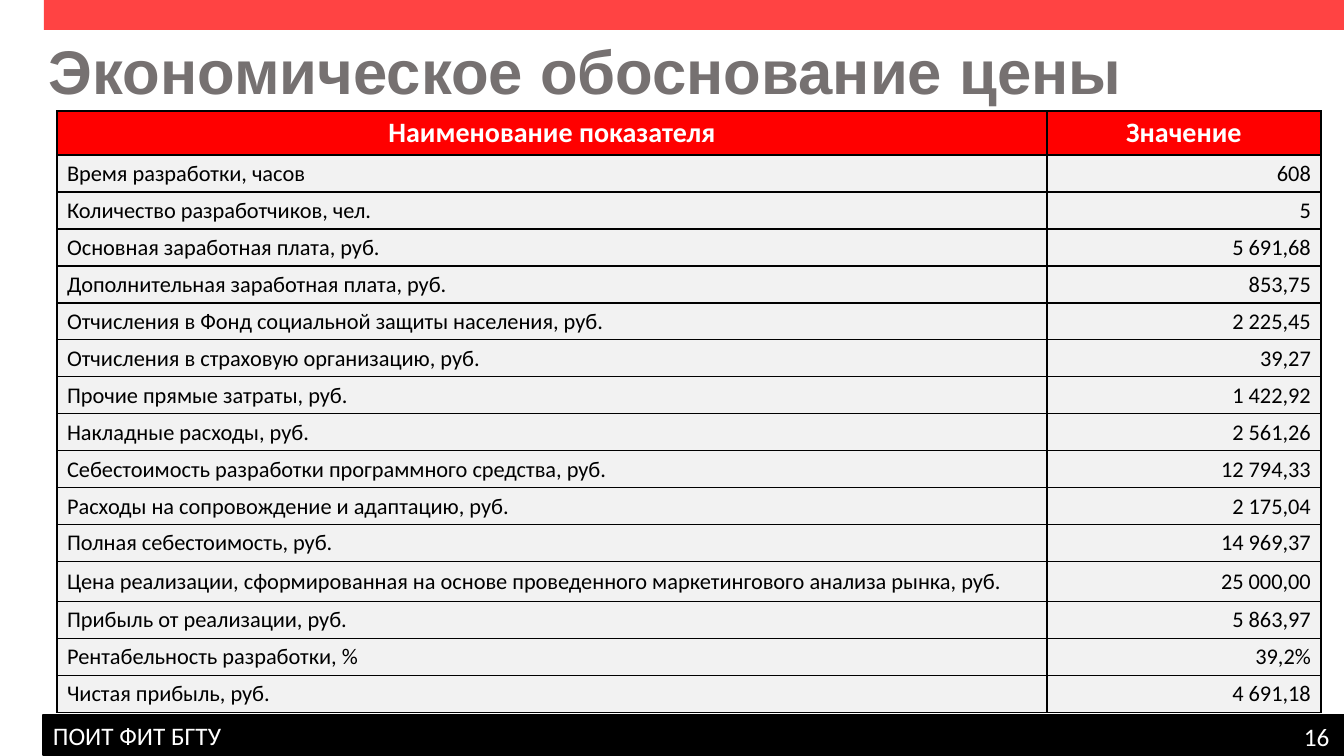
from lxml.etree import SubElement
from pptx import Presentation
from pptx.dml.color import RGBColor
from pptx.enum.shapes import MSO_SHAPE as Shape
from pptx.enum.text import MSO_ANCHOR as Anchor, MSO_AUTO_SIZE as AutoSize, PP_ALIGN as Align
from pptx.oxml.ns import qn
from pptx.util import Pt

PX = 914400 / 100.8
WIDTH, HEIGHT = 1344, 756

CORAL = RGBColor(0xFF, 0x43, 0x43)
RED = RGBColor(0xFF, 0x00, 0x00)
BLACK = RGBColor(0x00, 0x00, 0x00)
WHITE = RGBColor(0xFF, 0xFF, 0xFF)
GREY = RGBColor(0x76, 0x71, 0x71)
PALE = RGBColor(0xF2, 0xF2, 0xF2)

HEADER = ("Наименование показателя", "Значение")
INDICATORS = [
    ("Время разработки, часов", "608"),
    ("Количество разработчиков, чел.", "5"),
    ("Основная заработная плата, руб.", "5 691,68"),
    ("Дополнительная заработная плата, руб.", "853,75"),
    ("Отчисления в Фонд социальной защиты населения, руб.", "2 225,45"),
    ("Отчисления в страховую организацию, руб.", "39,27"),
    ("Прочие прямые затраты, руб.", "1 422,92"),
    ("Накладные расходы, руб.", "2 561,26"),
    ("Себестоимость разработки программного средства, руб.", "12 794,33"),
    ("Расходы на сопровождение и адаптацию, руб.", "2 175,04"),
    ("Полная себестоимость, руб.", "14 969,37"),
    ("Цена реализации, сформированная на основе проведенного маркетингового анализа рынка, руб.",
     "25 000,00"),
    ("Прибыль от реализации, руб.", "5 863,97"),
    ("Рентабельность разработки, %", "39,2%"),
    ("Чистая прибыль, руб.", "4 691,18"),
]
HEADER_HEIGHT, ROW_HEIGHT, PRICE_HEIGHT = 44, 37, 40
PRICE_ROW = 12
VALUE_WIDTH = 274


def px(*lengths):
    return [round(length * PX) for length in lengths]


def write(frame, text, size, color, font="Calibri", bold=False, align=Align.LEFT):
    frame.text = text
    para = frame.paragraphs[0]
    para.alignment = align
    span = para.runs[0].font
    span.name, span.size, span.bold = font, Pt(size), bold
    span.color.rgb = color
    return para


def add_bar(page, left, top, width, height, color):
    bar = page.shapes.add_shape(Shape.RECTANGLE, *px(left, top, width, height))
    bar.shadow.inherit = False
    bar.fill.solid()
    bar.fill.fore_color.rgb = color
    bar.line.fill.background()
    return bar


def add_footer(page, left, top, width, height):
    bar = add_bar(page, left, top, width, height, BLACK)
    bar.line.color.rgb = BLACK
    bar.line.width = Pt(1)
    bar.text_frame.vertical_anchor = Anchor.MIDDLE
    write(bar.text_frame, "ПОИТ ФИТ БГТУ", 18, WHITE)
    # Page number at the right end
    number = page.shapes.add_textbox(*px(left + width - 50, top + 1, 50, height))
    number.text_frame.word_wrap = False
    number.text_frame.auto_size = AutoSize.SHAPE_TO_FIT_TEXT
    write(number.text_frame, "16", 18, WHITE)


def add_title(page, left, top, width, height):
    box = page.shapes.add_textbox(*px(left, top, width, height))
    box.text_frame.word_wrap = True
    box.text_frame.vertical_anchor = Anchor.BOTTOM
    para = write(box.text_frame, "Экономическое обоснование цены", 44, GREY, "Arial", True)
    para.line_spacing = 0.8


def style_cell(cell, color):
    cell.vertical_anchor = Anchor.MIDDLE
    cell.margin_top, cell.margin_bottom = px(2, 2)
    properties = cell._tc.get_or_add_tcPr()
    for side in ("a:lnL", "a:lnR", "a:lnT", "a:lnB"):
        line = SubElement(properties, qn(side), w=str(Pt(1)))
        fill = SubElement(line, qn("a:solidFill"))
        SubElement(fill, qn("a:srgbClr"), val=str(BLACK))
    cell.fill.solid()
    cell.fill.fore_color.rgb = color


def add_indicator_table(page, left, top, width, height):
    rows = [HEADER] + INDICATORS
    table = page.shapes.add_table(len(rows), 2, *px(left, top, width, height)).table
    for column, length in zip(table.columns, px(width - VALUE_WIDTH, VALUE_WIDTH)):
        column.width = length
    special_heights = {0: HEADER_HEIGHT, PRICE_ROW: PRICE_HEIGHT}
    for index, texts in enumerate(rows):
        table.rows[index].height = px(special_heights.get(index, ROW_HEIGHT))[0]
        for cell, text, align in zip(table.rows[index].cells, texts, (Align.LEFT, Align.RIGHT)):
            if index == 0:
                style_cell(cell, RED)
                write(cell.text_frame, text, 20, WHITE, bold=True, align=Align.CENTER)
            else:
                style_cell(cell, PALE)
                write(cell.text_frame, text, 16, BLACK, align=align)


def main():
    deck = Presentation()
    deck.slide_width, deck.slide_height = px(WIDTH, HEIGHT)
    page = deck.slides.add_slide(deck.slide_layouts[6])
    add_bar(page, 44, 0, WIDTH - 44, 30, CORAL)
    add_footer(page, 43, 715, WIDTH - 43, 40)
    add_title(page, 39, 40, 1159, 71)
    add_indicator_table(page, 57, 111, 1264, 602)
    deck.save("out.pptx")


if __name__ == "__main__":
    main()
